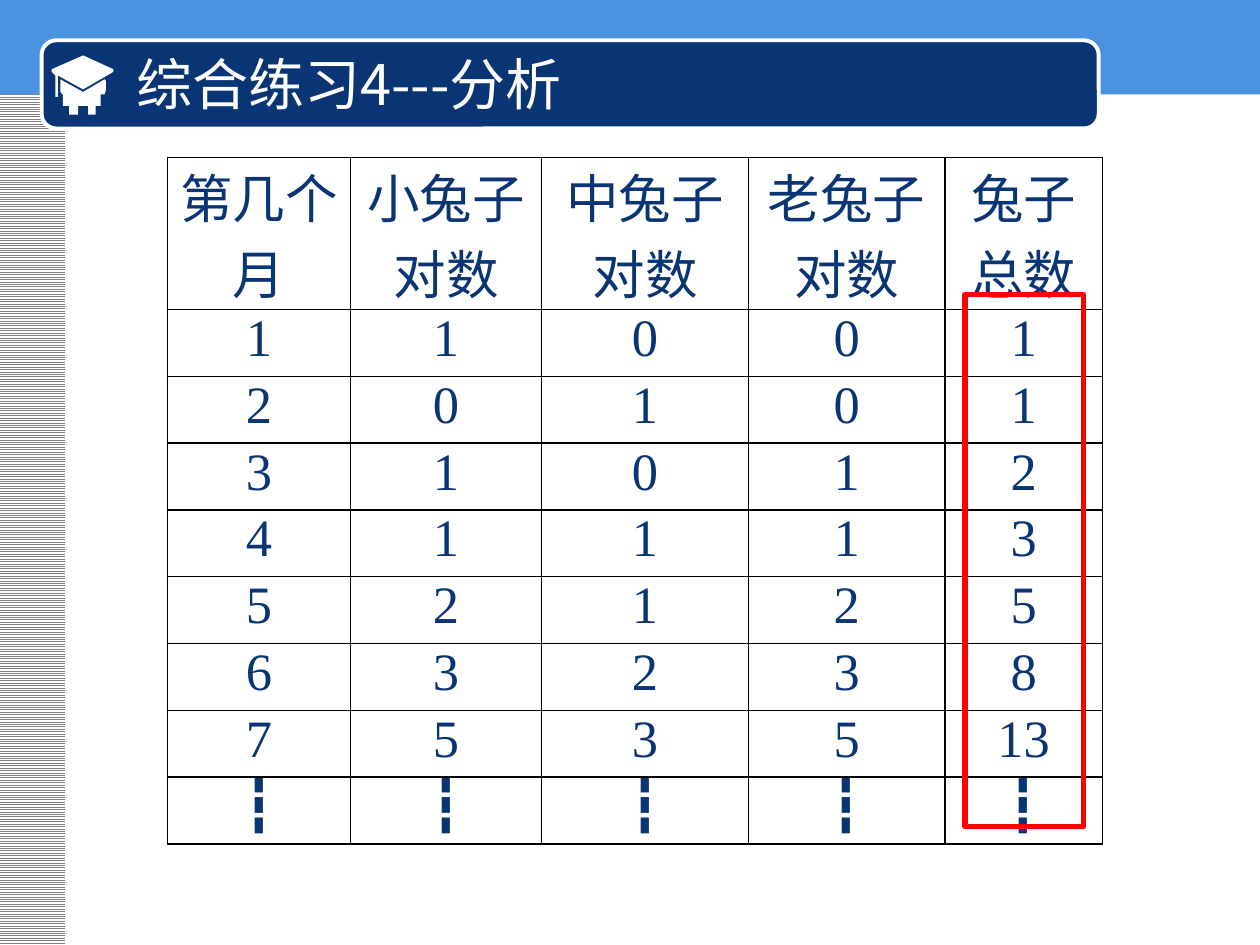
from dataclasses import dataclass
from typing import Optional

from lxml import etree
from pptx import Presentation
from pptx.dml.color import RGBColor
from pptx.enum.dml import MSO_PATTERN
from pptx.enum.shapes import MSO_SHAPE
from pptx.enum.text import MSO_ANCHOR, MSO_AUTO_SIZE, PP_ALIGN
from pptx.oxml.ns import qn
from pptx.util import Inches, Pt

RECT, ROUND_RECT = MSO_SHAPE.RECTANGLE, MSO_SHAPE.ROUNDED_RECTANGLE
LIGHT_HORIZONTAL = MSO_PATTERN.LIGHT_HORIZONTAL
LEFT, CENTER = PP_ALIGN.LEFT, PP_ALIGN.CENTER
MIDDLE = MSO_ANCHOR.MIDDLE
NO_AUTOFIT = MSO_AUTO_SIZE.NONE


@dataclass(frozen=True)
class Theme:
    white: str = "FFFFFF"
    black: str = "000000"
    gray: str = "808080"
    sky: str = "4B92E1"
    navy: str = "093575"
    red: str = "FF0000"
    title_font: str = "Noto Sans CJK SC"
    table_font: str = "Times New Roman"
    title_size: int = 32
    table_size: int = 30


@dataclass(frozen=True)
class Box:
    left: float
    top: float
    width: float
    height: float
    fill: Optional[str] = None
    line: Optional[str] = None
    line_width: float = 0
    kind: MSO_SHAPE = RECT


THEME = Theme()
SIDE_STRIP = Box(-0.01, 0, 0.53, 7.5, THEME.gray)
TOP_BAND = Box(0, 0, 10.01, 0.75, THEME.sky)
TITLE_BAR = Box(0.33, 0.32, 8.39, 0.7, THEME.navy, THEME.white, 2.25, ROUND_RECT)
TOTALS_FRAME = Box(7.66, 2.34, 0.94, 4.22, None, THEME.red, 3)

CAP = [(0.41, 0.57), (0.44, 0.6), (0.44, 0.77), (0.46, 0.77), (0.46, 0.6),
       (0.66, 0.71), (0.9, 0.57), (0.9, 0.55), (0.66, 0.44), (0.41, 0.55)]
BODY = [(0.8, 0.75), (0.83, 0.75), (0.84, 0.72), (0.84, 0.64), (0.83, 0.63),
        (0.66, 0.73), (0.48, 0.63), (0.48, 0.73), (0.5, 0.75), (0.5, 0.84),
        (0.55, 0.84), (0.55, 0.91), (0.62, 0.91), (0.62, 0.84), (0.7, 0.84),
        (0.7, 0.91), (0.76, 0.91), (0.76, 0.84), (0.8, 0.84)]

COLUMN_WIDTHS = [1.45, 1.52, 1.64, 1.56, 1.25]
ROW_HEIGHT = 0.53
HEADERS = ["第几个月", "小兔子对数", "中兔子对数", "老兔子对数", "兔子总数"]
RABBIT_PAIRS = [(1, 0, 0), (0, 1, 0), (1, 0, 1), (1, 1, 1),
                (2, 1, 2), (3, 2, 3), (5, 3, 5)]


def rgb(color: str) -> RGBColor:
    return RGBColor.from_string(color)


def add_box(s, box: Box):
    sp = s.shapes.add_shape(box.kind, Inches(box.left), Inches(box.top),
                            Inches(box.width), Inches(box.height))
    sp.shadow.inherit = False
    if box.fill:
        sp.fill.solid()
        sp.fill.fore_color.rgb = rgb(box.fill)
    else:
        sp.fill.background()
    if box.line:
        sp.line.color.rgb = rgb(box.line)
        sp.line.width = Pt(box.line_width)
    else:
        sp.line.fill.background()
    return sp


def add_side_strip(s) -> None:
    fill = add_box(s, SIDE_STRIP).fill
    fill.patterned()
    fill.pattern = LIGHT_HORIZONTAL
    fill.fore_color.rgb = rgb(THEME.gray)
    fill.back_color.rgb = rgb(THEME.white)


def add_outline(s, points: list[tuple[float, float]]) -> None:
    start, *rest = [(Inches(x), Inches(y)) for x, y in points]
    builder = s.shapes.build_freeform(*start)
    builder.add_line_segments(rest, close=True)
    sp = builder.convert_to_shape()
    sp.shadow.inherit = False
    sp.fill.solid()
    sp.fill.fore_color.rgb = rgb(THEME.white)
    sp.line.fill.background()


def format_paragraph(p, font: str, size: int, color: str, align: PP_ALIGN) -> None:
    p.alignment = align
    p.font.name = font
    p.font.size = Pt(size)
    p.font.color.rgb = rgb(color)


def set_title(s, text: str) -> None:
    """Fill the title placeholder and bring it in front of the title bar."""
    title = s.shapes.title
    title.left, title.top = Inches(0.98), Inches(0.35)
    title.width, title.height = Inches(7.6), Inches(0.62)
    title.element.getparent().append(title.element)
    tf = title.text_frame
    tf.text = text
    tf.auto_size = NO_AUTOFIT
    tf.vertical_anchor = MIDDLE
    format_paragraph(tf.paragraphs[0], THEME.title_font, THEME.title_size,
                     THEME.white, LEFT)


def set_borders(cell, color: str, width: float) -> None:
    """Draw all four edges; they must come before the cell's fill element."""
    tc_pr = cell._tc.get_or_add_tcPr()
    for i, edge in enumerate(("a:lnL", "a:lnR", "a:lnT", "a:lnB")):
        ln = etree.Element(qn(edge), w=str(Pt(width)))
        fill = etree.SubElement(ln, qn("a:solidFill"))
        etree.SubElement(fill, qn("a:srgbClr"), val=color)
        tc_pr.insert(i, ln)


def fill_cell(cell, text: str) -> None:
    cell.margin_left = cell.margin_right = Inches(0.07)
    cell.margin_top = cell.margin_bottom = 0
    cell.fill.background()
    cell.text = text
    format_paragraph(cell.text_frame.paragraphs[0], THEME.table_font,
                     THEME.table_size, THEME.navy, CENTER)
    set_borders(cell, THEME.black, 1)


def add_rabbit_table(s) -> None:
    months = [[month, *pairs, sum(pairs)]
              for month, pairs in enumerate(RABBIT_PAIRS, start=1)]
    rows = [HEADERS, *months, ["┇"] * len(HEADERS)]
    table = s.shapes.add_table(
        len(rows), len(HEADERS), Inches(1.33), Inches(1.25),
        Inches(sum(COLUMN_WIDTHS)), Inches(ROW_HEIGHT * len(rows))).table
    table.first_row = table.horz_banding = False
    for column, width in zip(table.columns, COLUMN_WIDTHS):
        column.width = Inches(width)
    for row, values in zip(table.rows, rows):
        row.height = Inches(ROW_HEIGHT)
        for cell, value in zip(row.cells, values):
            fill_cell(cell, str(value))


def main() -> None:
    prs = Presentation()
    prs.slide_width, prs.slide_height = Inches(10), Inches(7.5)
    s = prs.slides.add_slide(prs.slide_layouts.get_by_name("Title Only"))
    add_side_strip(s)
    add_box(s, TOP_BAND)
    add_box(s, TITLE_BAR)
    for points in (CAP, BODY):
        add_outline(s, points)
    set_title(s, "综合练习4---分析")
    add_rabbit_table(s)
    add_box(s, TOTALS_FRAME)
    prs.save("out.pptx")


if __name__ == "__main__":
    main()
